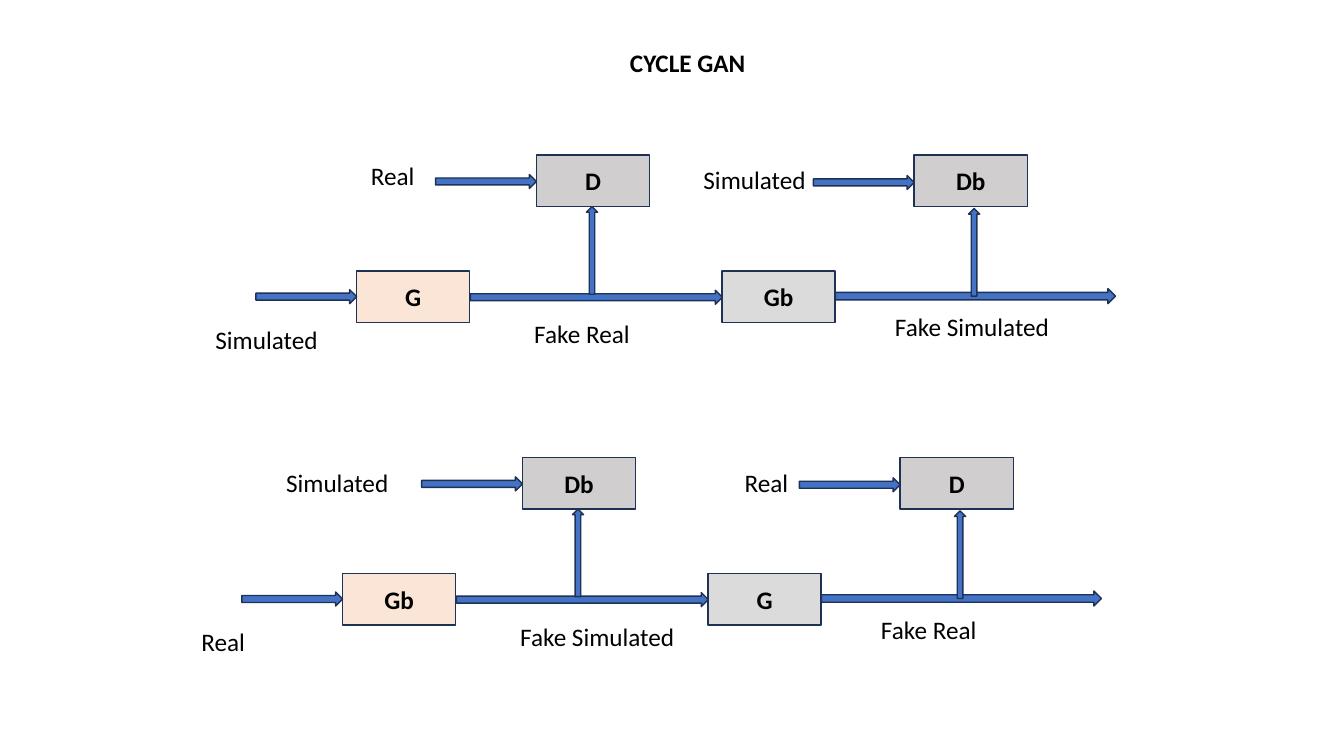
from pptx import Presentation
from pptx.dml.color import RGBColor
from pptx.enum.shapes import MSO_SHAPE
from pptx.enum.text import MSO_ANCHOR, MSO_AUTO_SIZE, PP_ALIGN
from pptx.util import Pt

COLOURS = {
    "text": "000000",
    "outline": "1E3256",
    "arrow": "4472C4",
    "first": "FBE5D6",
    "second": "DBDBDB",
    "discriminator": "D0CECE",
}
BOX_WIDTH, BOX_HEIGHT = 80.8, 36.8
LABEL_HEIGHT = 29
LABEL_WIDTHS = {"Real": 46, "Simulated": 88.5, "Fake Real": 83.5, "Fake Simulated": 130}
BOXES = [(0, 0, "first"), (261, 0, "second"),
         (128.4, -82.8, "discriminator"), (398.2, -82.8, "discriminator")]
ARROWS = [(-72, 13.3, 72, 10), (81.2, 13.7, 180, 10), (342, 12.5, 200, 10.8),
          (56.4, -69, 72, 10), (326.2, -68.3, 72, 10)]
UP_ARROWS = [(136.8, -18.7), (409.7, -17.4)]

TOP_CYCLE = {
    "origin": (254.8, 193.6),
    "boxes": ["G", "Gb", "D", "Db"],
    "labels": [("Simulated", -108, 34.6), ("Fake Real", 119.7, 30.3),
               ("Fake Simulated", 377.4, 25.3), ("Real", 3, -82.8),
               ("Simulated", 240.6, -79.8)],
}
BOTTOM_CYCLE = {
    "origin": (244.8, 409.6),
    "boxes": ["Gb", "G", "Db", "D"],
    "labels": [("Real", -108, 34.2), ("Fake Simulated", 119.7, 30.3),
               ("Fake Real", 377.4, 25.3), ("Simulated", -47.5, -79.1),
               ("Real", 280, -79.1)],
}


def colour(name):
    return RGBColor.from_string(COLOURS[name])


def write(frame, text, bold=False, align=PP_ALIGN.LEFT, anchor=MSO_ANCHOR.TOP, wrap=False):
    frame.word_wrap = wrap
    frame.vertical_anchor = anchor
    para = frame.paragraphs[0]
    para.alignment = align
    span = para.add_run()
    span.text = text
    span.font.name = "Calibri"
    span.font.size = Pt(18)
    span.font.bold = bold
    span.font.color.rgb = colour("text")


def add_block(page, kind, left, top, width, height, fill):
    block = page.shapes.add_shape(kind, Pt(left), Pt(top), Pt(width), Pt(height))
    block.shadow.inherit = False
    block.fill.solid()
    block.fill.fore_color.rgb = colour(fill)
    block.line.color.rgb = colour("outline")
    block.line.width = Pt(1)
    return block


def add_network(page, text, left, top, fill):
    box = add_block(page, MSO_SHAPE.RECTANGLE, left, top, BOX_WIDTH, BOX_HEIGHT, fill)
    write(box.text_frame, text, bold=True, align=PP_ALIGN.CENTER,
          anchor=MSO_ANCHOR.MIDDLE, wrap=True)


def add_arrow(page, left, top, width, height, rotation=0):
    arrow = add_block(page, MSO_SHAPE.RIGHT_ARROW, left, top, width, height, "arrow")
    arrow.rotation = rotation


def add_label(page, text, left, top):
    box = page.shapes.add_textbox(Pt(left), Pt(top), Pt(LABEL_WIDTHS[text]), Pt(LABEL_HEIGHT))
    box.text_frame.auto_size = MSO_AUTO_SIZE.SHAPE_TO_FIT_TEXT
    write(box.text_frame, text)


def add_title(page, text):
    title = page.shapes.title
    title.left, title.top, title.width, title.height = Pt(442.8), Pt(30.3), Pt(98), Pt(29)
    write(title.text_frame, text, bold=True)


def add_cycle(page, cycle):
    x, y = cycle["origin"]
    for text, (left, top, fill) in zip(cycle["boxes"], BOXES):
        add_network(page, text, x + left, y + top, fill)
    for left, top, width, height in ARROWS:
        add_arrow(page, x + left, y + top, width, height)
    for left, top in UP_ARROWS:
        add_arrow(page, x + left, y + top, 62.6, 8, rotation=270)
    for text, left, top in cycle["labels"]:
        add_label(page, text, x + left, y + top)


def main():
    deck = Presentation()
    deck.slide_width, deck.slide_height = Pt(960), Pt(540)
    page = deck.slides.add_slide(deck.slide_layouts[5])
    add_title(page, "CYCLE GAN")
    for cycle in (BOTTOM_CYCLE, TOP_CYCLE):
        add_cycle(page, cycle)
    deck.save("out.pptx")


if __name__ == "__main__":
    main()
